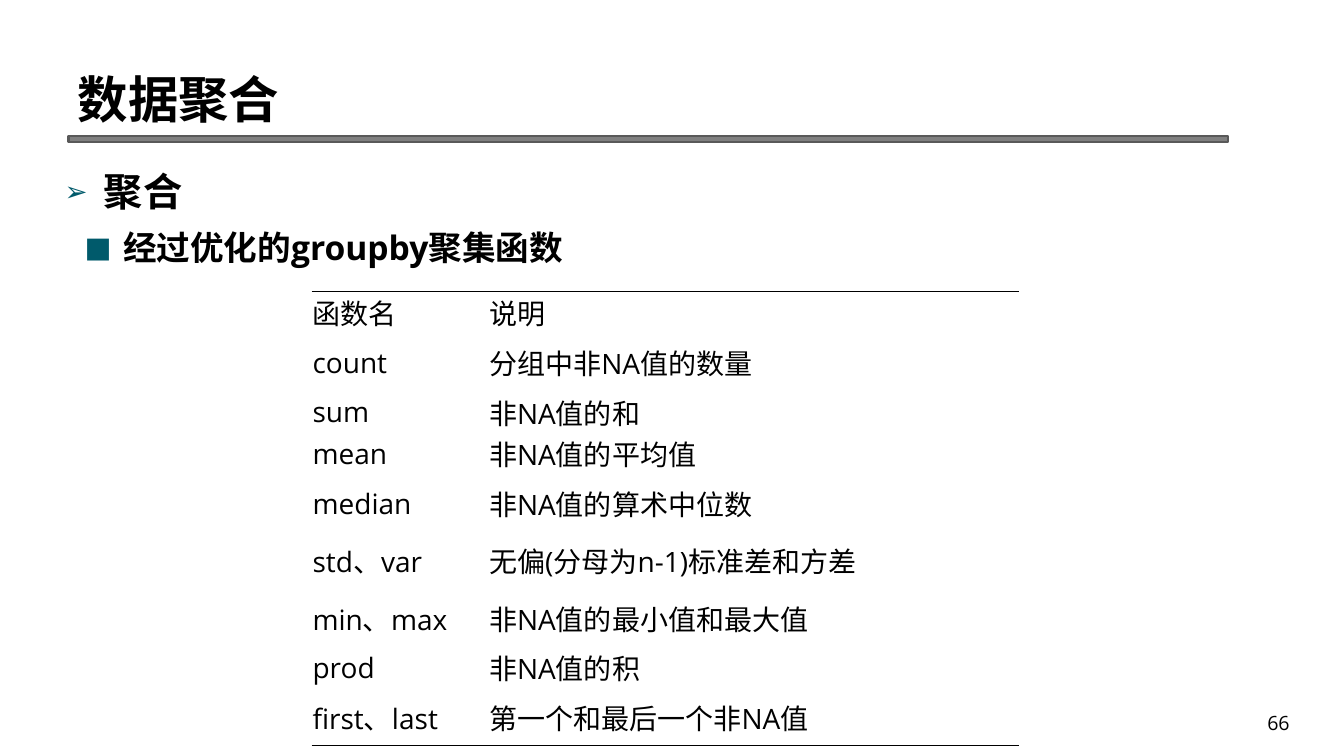
"""Build the slide on optimised groupby aggregation functions."""
from lxml import etree
from pptx import Presentation
from pptx import util as u
from pptx.dml.color import RGBColor
from pptx.enum import shapes, text
from pptx.oxml.ns import qn

W, H = 13.33, 7.5
LATIN, CJK = "Open Sans", "Noto Sans CJK SC"
COLORS = {"text": "000000", "rule": "808080", "edge": "595959", "bullet": "005A6B"}
TITLE = "数据聚合"
PAGE = "66"
BULLETS = [
    {"text": "聚合", "level": 0, "size": 28, "left": 0.39, "hang": 0.39, "char": "➢", "pct": 70},
    {"text": "经过优化的groupby聚集函数", "level": 1, "size": 24, "left": 0.58, "hang": 0.38,
     "char": "■", "pct": 85},
]
FUNCTIONS = [
    ("函数名", "说明"),
    ("count", "分组中非NA值的数量"),
    ("sum", "非NA值的和"),
    ("mean", "非NA值的平均值"),
    ("median", "非NA值的算术中位数"),
    ("std、var", "无偏(分母为n-1)标准差和方差"),
    ("min、max", "非NA值的最小值和最大值"),
    ("prod", "非NA值的积"),
    ("first、last", "第一个和最后一个非NA值"),
]
COLS = [1.75, 2.93, 2.34]
LOW, TALL = 0.35, 0.57
TALL_ROWS = {1, 4, 5, 6, 8}
NO_STYLE = "{2D5ABB26-0587-4C30-8999-92F81FD0307C}"


def rgb(name):
    return RGBColor.from_string(COLORS[name])


def box(*lengths):
    return [u.Inches(v) for v in lengths]


def place(sp, *lengths):
    sp.left, sp.top, sp.width, sp.height = box(*lengths)


def add_run(p, words, size, bold=False):
    r = p.add_run()
    r.text = words
    r.font.size = u.Pt(size)
    r.font.bold = bold
    r.font.color.rgb = rgb("text")
    r.font.name = LATIN
    ea = etree.Element(qn("a:ea"), typeface=CJK)
    r.font._element.find(qn("a:latin")).addnext(ea)


def set_bullet(p, item):
    pPr = p._p.get_or_add_pPr()
    pPr.set("marL", str(u.Inches(item["left"])))
    pPr.set("indent", str(-u.Inches(item["hang"])))
    color = etree.SubElement(pPr, qn("a:buClr"))
    etree.SubElement(color, qn("a:srgbClr"), val=COLORS["bullet"])
    etree.SubElement(pPr, qn("a:buSzPct"), val=str(item["pct"] * 1000))
    etree.SubElement(pPr, qn("a:buFont"), typeface=LATIN)
    etree.SubElement(pPr, qn("a:buChar"), char=item["char"])


def set_border(cell, side):
    ln = etree.Element(qn(f"a:{side}"), w=str(u.Pt(1)))
    fill = etree.SubElement(ln, qn("a:solidFill"))
    etree.SubElement(fill, qn("a:srgbClr"), val=COLORS["text"])
    cell._tc.get_or_add_tcPr().insert(0, ln)


def add_rule(s):
    sp = s.shapes.add_shape(shapes.MSO_SHAPE.RECTANGLE, *box(0.68, 1.35, 11.5, 0.06))
    sp.shadow.inherit = False
    sp.fill.solid()
    sp.fill.fore_color.rgb = rgb("rule")
    sp.line.color.rgb = rgb("edge")
    sp.line.width = u.Pt(1.5)


def add_title(s):
    sp = s.shapes.title
    place(sp, 0.67, 0.08, 11.36, 1.25)
    tf = sp.text_frame
    tf.auto_size = text.MSO_AUTO_SIZE.NONE
    tf.vertical_anchor = text.MSO_ANCHOR.BOTTOM
    p = tf.paragraphs[0]
    p.alignment = text.PP_ALIGN.LEFT
    add_run(p, TITLE, 36, True)


def add_bullets(s):
    sp = s.placeholders[1]
    place(sp, 0.54, 1.47, 12.11, 5.35)
    tf = sp.text_frame
    tf.auto_size = text.MSO_AUTO_SIZE.NONE
    for i, item in enumerate(BULLETS):
        p = tf.add_paragraph() if i else tf.paragraphs[0]
        p.level = item["level"]
        p.line_spacing = 1.3
        p.space_before = p.space_after = u.Pt(0)
        set_bullet(p, item)
        add_run(p, item["text"], item["size"], True)


def add_functions(s):
    heights = [TALL if i in TALL_ROWS else LOW for i in range(len(FUNCTIONS))]
    frame = s.shapes.add_table(len(FUNCTIONS), len(COLS),
                               *box(3.09, 2.89, sum(COLS), sum(heights)))
    table = frame.table
    table.first_row = table.horz_banding = False
    table._tbl.tblPr.find(qn("a:tableStyleId")).text = NO_STYLE
    for col, width in zip(table.columns, COLS):
        col.width = u.Inches(width)
    last = len(FUNCTIONS) - 1
    for i, (row, words) in enumerate(zip(table.rows, FUNCTIONS)):
        row.height = u.Inches(heights[i])
        for j, cell in enumerate(row.cells):
            cell.margin_left = cell.margin_right = cell.margin_top = u.Inches(0.01)
            cell.margin_bottom = 0
            cell.vertical_anchor = text.MSO_ANCHOR.MIDDLE
            cell.fill.background()
            if j < len(words):
                add_run(cell.text_frame.paragraphs[0], words[j], 20)
            if i in (0, last):
                set_border(cell, "lnB" if i else "lnT")
        if i:
            table.cell(i, 1).merge(table.cell(i, 2))


def add_page(s):
    tf = s.shapes.add_textbox(*box(10.11, 7, 2.78, 0.5)).text_frame
    tf.word_wrap = True
    p = tf.paragraphs[0]
    p.alignment = text.PP_ALIGN.RIGHT
    add_run(p, PAGE, 14)


def main():
    prs = Presentation()
    prs.slide_width, prs.slide_height = box(W, H)
    s = prs.slides.add_slide(prs.slide_layouts[1])
    add_rule(s)
    add_title(s)
    add_bullets(s)
    add_functions(s)
    add_page(s)
    prs.save("out.pptx")


if __name__ == "__main__":
    main()
